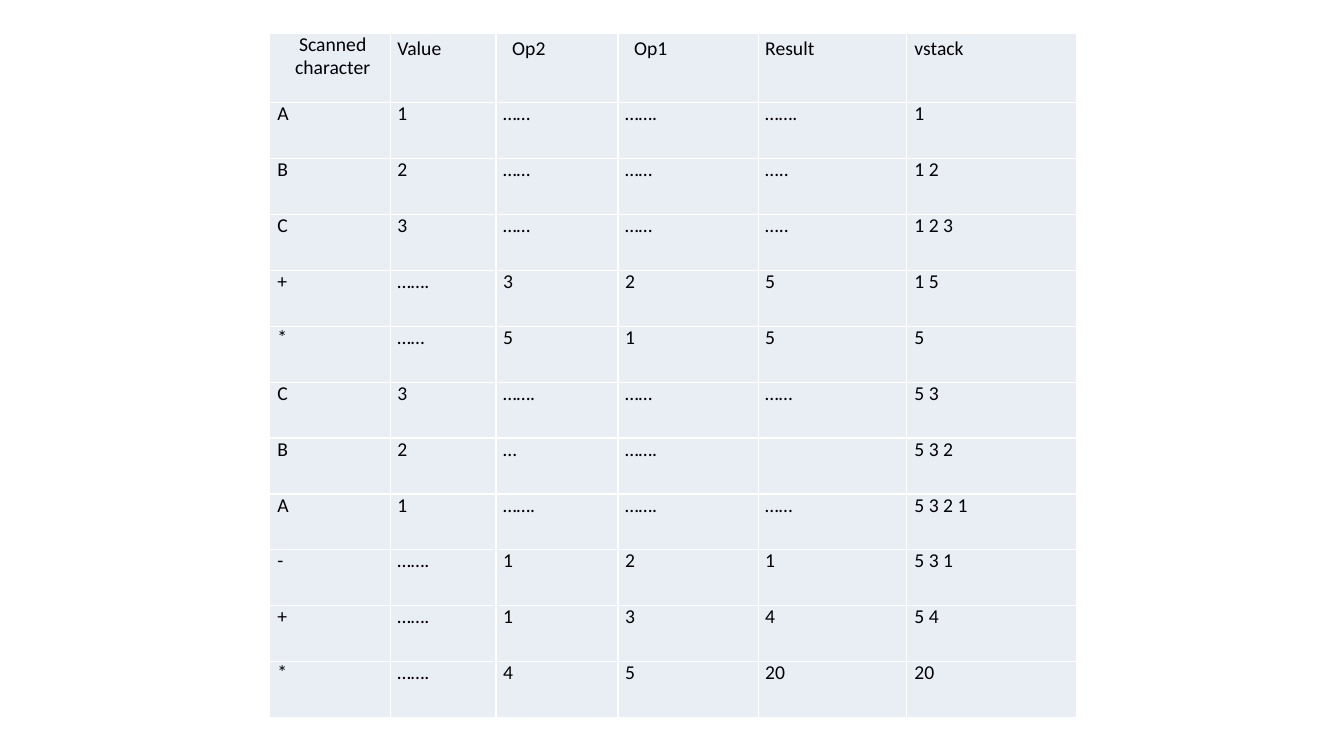
"""Build a slide tracing a postfix evaluation in a table."""
from lxml import etree
from pptx import Presentation
from pptx import util as u
from pptx.dml.color import RGBColor
from pptx.enum import text
from pptx.oxml import ns

BLACK = RGBColor(0x00, 0x00, 0x00)
WHITE = RGBColor(0xFF, 0xFF, 0xFF)
PALE_BLUE = RGBColor(0xE9, 0xED, 0xF4)

COLUMN_WIDTHS = [1.2, 1.05, 1.21, 1.39, 1.47, 1.69]
HEADER_INDENTS = [0.06, 0.07, 0.16, 0.16, 0.07, 0.08]
BODY_INDENTS = [0.08, 0.07, 0.07, 0.07, 0.07, 0.08]
TABLE_HEIGHT = 6.79
HEADER_HEIGHT = 0.69

ROWS = [
    ["Scanned character", "Value", "Op2", "Op1", "Result", "vstack"],
    ["A", "1", "……", "…….", "…….", "1"],
    ["B", "2", "……", "……", "…..", "1 2"],
    ["C", "3", "……", "……", "…..", "1 2 3"],
    ["+", "…….", "3", "2", "5", "1 5"],
    ["*", "……", "5", "1", "5", "5"],
    ["C", "3", "…….", "……", "……", "5 3"],
    ["B", "2", "…", "…….", "", "5 3 2"],
    ["A", "1", "…….", "…….", "……", "5 3 2 1"],
    ["-", "…….", "1", "2", "1", "5 3 1"],
    ["+", "…….", "1", "3", "4", "5 4"],
    ["*", "…….", "4", "5", "20", "20"],
]


def add_borders(cell):
    """Draw a thin white line on each side of the cell."""
    properties = cell._tc.get_or_add_tcPr()
    for side in ("a:lnL", "a:lnR", "a:lnT", "a:lnB"):
        line = etree.SubElement(properties, ns.qn(side), w=str(u.Pt(1)))
        fill = etree.SubElement(line, ns.qn("a:solidFill"))
        etree.SubElement(fill, ns.qn("a:srgbClr"), val=str(WHITE))


presentation = Presentation()
presentation.slide_width = u.Inches(13.33)
presentation.slide_height = u.Inches(7.5)
slide = presentation.slides.add_slide(presentation.slide_layouts[6])

frame = slide.shapes.add_table(
    len(ROWS), len(COLUMN_WIDTHS), u.Inches(2.67), u.Inches(0.33),
    u.Inches(sum(COLUMN_WIDTHS)), u.Inches(TABLE_HEIGHT))
table = frame.table
table.first_row = False
table.horz_banding = False

for column, width in zip(table.columns, COLUMN_WIDTHS):
    column.width = u.Inches(width)

body_height = (TABLE_HEIGHT - HEADER_HEIGHT) / (len(ROWS) - 1)
for row_number, values in enumerate(ROWS):
    is_header = row_number == 0
    table.rows[row_number].height = u.Inches(HEADER_HEIGHT if is_header else body_height)
    indents = HEADER_INDENTS if is_header else BODY_INDENTS
    for column_number, value in enumerate(values):
        cell = table.cell(row_number, column_number)
        cell.margin_left = cell.margin_right = 0
        cell.margin_top = cell.margin_bottom = 0
        add_borders(cell)
        cell.fill.solid()
        cell.fill.fore_color.rgb = PALE_BLUE
        if not value:
            continue
        paragraph = cell.text_frame.paragraphs[0]
        paragraph.line_spacing = 1.15 if is_header else 0.95
        paragraph.space_before = u.Pt(0.9 if is_header else 1.1)
        paragraph._p.get_or_add_pPr().set("marL", str(u.Inches(indents[column_number])))
        run = paragraph.add_run()
        run.text = value
        run.font.name = "Calibri"
        run.font.size = u.Pt(14)
        run.font.color.rgb = BLACK

scanned_heading = table.cell(0, 0).text_frame.paragraphs[0]
scanned_heading.alignment = text.PP_ALIGN.CENTER
scanned_heading.line_spacing = 0.97
scanned_heading.space_before = u.Pt(0.8)

presentation.save("out.pptx")
